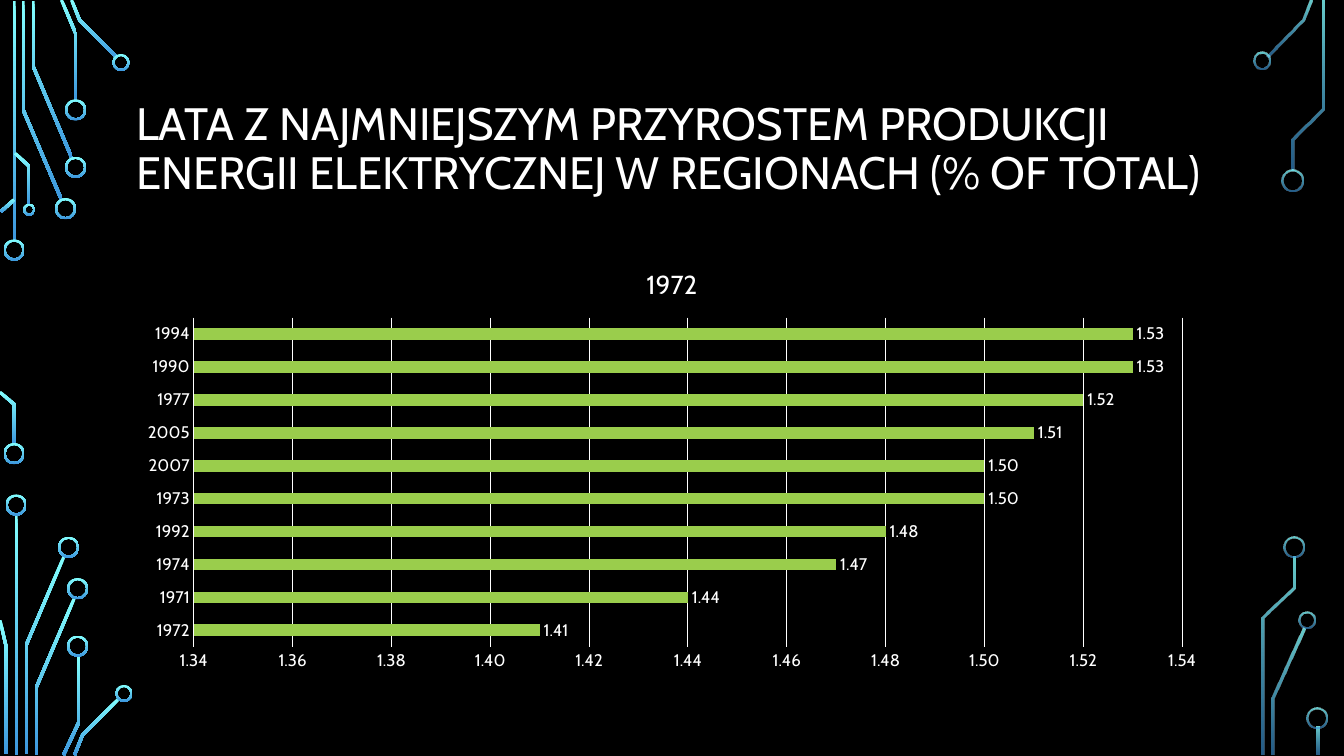
from dataclasses import dataclass
from math import hypot

from lxml.etree import SubElement
from pptx import Presentation
from pptx.chart.data import CategoryChartData
from pptx.dml.color import RGBColor
from pptx.enum.chart import XL_CHART_TYPE, XL_LABEL_POSITION, XL_TICK_MARK
from pptx.enum.shapes import MSO_SHAPE
from pptx.enum.text import MSO_ANCHOR, MSO_AUTO_SIZE, PP_ALIGN
from pptx.oxml.ns import qn
from pptx.util import Inches, Pt

WHITE = RGBColor(0xFF, 0xFF, 0xFF)
BLACK = RGBColor(0x00, 0x00, 0x00)
CYAN = RGBColor(0x82, 0xFF, 0xFF)
BLUE = RGBColor(0x3D, 0x97, 0xDE)
GREEN = RGBColor(0x9A, 0xCD, 0x4C)
FONT = "Cabin"
TRACE_WIDTH = 0.03
RING_WALL = 0.02

Point = tuple[float, float]


@dataclass(frozen=True)
class Ring:
    x: float
    y: float
    size: float = 0.21


@dataclass(frozen=True)
class Circuit:
    """Traces given by their centre lines, and the rings at their ends."""
    traces: list[list[Point]]
    rings: list[Ring]
    opacity: tuple[int, int] = (100, 100)


LEFT_CIRCUIT = Circuit(
    traces=[
        # Upper corner
        [(0.14, 0.01), (0.14, 2.4)],
        [(0.23, 0.01), (0.23, 1.09), (0.61, 1.98)],
        [(0.33, 0.01), (0.33, 0.66), (0.71, 1.56)],
        [(0.61, 0), (0.75, 0.33), (0.75, 1)],
        [(0.71, 0), (0.79, 0.2), (1.16, 0.57)],
        [(0.01, 2.1), (0.14, 1.98)],
        [(0.15, 1.52), (0.29, 1.65), (0.29, 2.03)],
        # Lower corner
        [(0, 3.89), (0.14, 4.01), (0.14, 4.41)],
        [(0.16, 5.1), (0.16, 7.49)],
        [(0.26, 7.48), (0.26, 6.4), (0.64, 5.51)],
        [(0.06, 7.48), (0.06, 6.41), (0, 6.15)],
        [(0.36, 7.49), (0.36, 6.82), (0.74, 5.93)],
        [(0.63, 7.49), (0.78, 7.17), (0.78, 6.5)],
        [(0.74, 7.49), (0.82, 7.29), (1.18, 6.93)],
    ],
    rings=[
        Ring(0.14, 2.48), Ring(0.14, 4.5), Ring(0.65, 2.07),
        Ring(0.75, 1.66), Ring(0.75, 1.09), Ring(1.2, 0.62, 0.17),
        Ring(0.29, 2.08, 0.12), Ring(0.16, 5.01), Ring(0.68, 5.43),
        Ring(0.77, 5.84), Ring(0.77, 6.41), Ring(1.23, 6.88, 0.17),
    ],
)
RIGHT_CIRCUIT = Circuit(
    traces=[
        [(12.57, 0.56), (12.92, 0.2), (13, 0)],
        [(12.82, 1.69), (12.82, 1.38), (13.12, 1.08), (13.12, 0.01)],
        [(12.63, 7.49), (12.63, 6.93), (12.93, 6.23)],
        [(12.53, 7.49), (12.53, 6.13), (12.83, 5.83), (12.83, 5.52)],
        [(13.07, 7.21), (13.07, 7.49)],
    ],
    rings=[
        Ring(12.52, 0.6, 0.17), Ring(12.82, 1.79), Ring(12.96, 6.15, 0.17),
        Ring(12.83, 5.43), Ring(13.06, 7.12),
    ],
    opacity=(80, 60),
)

SMALLEST_GROWTH = [
    ("1972", 1.41), ("1971", 1.44), ("1974", 1.47), ("1992", 1.48),
    ("1973", 1.5), ("2007", 1.5), ("2005", 1.51), ("1977", 1.52),
    ("1990", 1.53), ("1994", 1.53),
]


def trace_edge(line: list[Point], offset: float) -> list[Point]:
    """Shift a centre line sideways, with mitred corners."""
    normals = []
    for (x1, y1), (x2, y2) in zip(line, line[1:]):
        length = hypot(x2 - x1, y2 - y1)
        normals.append(((y1 - y2) / length, (x2 - x1) / length))
    edge = []
    for (x, y), (ax, ay), (bx, by) in zip(
            line, normals[:1] + normals, normals + normals[-1:]):
        reach = offset / (1 + ax * bx + ay * by)
        edge.append((x + (ax + bx) * reach, y + (ay + by) * reach))
    return edge


def paint(shape, opacity: tuple[int, int]) -> None:
    shape.shadow.inherit = False
    shape.line.fill.background()
    shape.fill.gradient()
    shape.fill.gradient_angle = 270
    stops = shape.fill.gradient_stops
    for stop, position, color in zip(stops, (0, 1), (CYAN, BLUE)):
        stop.position = position
        stop.color.rgb = color
    colors = shape._element.spPr.iter(qn("a:srgbClr"))
    for color, percent in zip(colors, opacity):
        if percent < 100:
            SubElement(color, qn("a:alpha"), val=str(percent * 1000))


def draw_circuit(slide, circuit: Circuit) -> None:
    for line in circuit.traces:
        outline = (trace_edge(line, TRACE_WIDTH / 2)
                   + trace_edge(line, -TRACE_WIDTH / 2)[::-1])
        corners = [(Inches(x), Inches(y)) for x, y in outline]
        builder = slide.shapes.build_freeform(*corners[0])
        builder.add_line_segments(corners[1:], close=True)
        paint(builder.convert_to_shape(), circuit.opacity)
    for ring in circuit.rings:
        donut = slide.shapes.add_shape(
            MSO_SHAPE.DONUT, Inches(ring.x - ring.size / 2),
            Inches(ring.y - ring.size / 2), Inches(ring.size), Inches(ring.size))
        donut.adjustments[0] = RING_WALL / ring.size
        paint(donut, circuit.opacity)


def style_font(font, size: float) -> None:
    font.name = FONT
    font.size = Pt(size)
    font.bold = False
    font.color.rgb = WHITE


def write_title(slide) -> None:
    title = slide.shapes.title
    title.left, title.top = Inches(1.25), Inches(0.68)
    title.width, title.height = Inches(10.83), Inches(1.62)
    frame = title.text_frame
    frame.text = ("LATA Z NAJMNIEJSZYM PRZYROSTEM PRODUKCJI "
                  "ENERGII ELEKTRYCZNEJ W REGIONACH (% OF TOTAL)")
    frame.word_wrap = True
    frame.auto_size = MSO_AUTO_SIZE.NONE
    frame.vertical_anchor = MSO_ANCHOR.MIDDLE
    heading = frame.paragraphs[0]
    heading.alignment = PP_ALIGN.LEFT
    heading.line_spacing = 0.9
    style_font(heading.font, 32.4)


def add_growth_chart(slide) -> None:
    growth = CategoryChartData(number_format="0.00")
    growth.categories = [year for year, _ in SMALLEST_GROWTH]
    growth.add_series("1972", [value for _, value in SMALLEST_GROWTH])
    chart = slide.shapes.add_chart(
        XL_CHART_TYPE.BAR_CLUSTERED, Inches(1.25), Inches(2.46),
        Inches(10.83), Inches(4.28), growth).chart
    style_font(chart.font, 10)
    chart.has_legend = False
    chart.has_title = True
    chart.chart_title.include_in_layout = False
    chart.chart_title.text_frame.text = "1972"
    style_font(chart.chart_title.text_frame.paragraphs[0].font, 18.6)

    # Axes
    years, values = chart.category_axis, chart.value_axis
    for axis in (years, values):
        axis.major_tick_mark = axis.minor_tick_mark = XL_TICK_MARK.NONE
        style_font(axis.tick_labels.font, 12)
    values.minimum_scale, values.maximum_scale = 1.34, 1.54
    values.major_unit = 0.02
    values.tick_labels.number_format = "0.00"
    values.tick_labels.number_format_is_linked = False
    values.format.line.fill.background()
    for line in (years.format.line, values.major_gridlines.format.line):
        line.color.rgb = WHITE
        line.width = Pt(0.75)

    # Bars and their labels
    plot = chart.plots[0]
    plot.gap_width = 182
    plot.vary_by_categories = False
    bars = plot.series[0]
    bars.format.fill.solid()
    bars.format.fill.fore_color.rgb = GREEN
    labels = bars.data_labels
    labels.show_value = True
    labels.number_format = "0.00"
    labels.number_format_is_linked = False
    labels.position = XL_LABEL_POSITION.OUTSIDE_END
    style_font(labels.font, 12)


def main() -> None:
    deck = Presentation()
    deck.slide_width, deck.slide_height = Inches(13.33), Inches(7.5)
    slide = deck.slides.add_slide(deck.slide_layouts[5])
    slide.background.fill.solid()
    slide.background.fill.fore_color.rgb = BLACK
    for circuit in (LEFT_CIRCUIT, RIGHT_CIRCUIT):
        draw_circuit(slide, circuit)
    write_title(slide)
    add_growth_chart(slide)
    deck.save("out.pptx")


if __name__ == "__main__":
    main()
